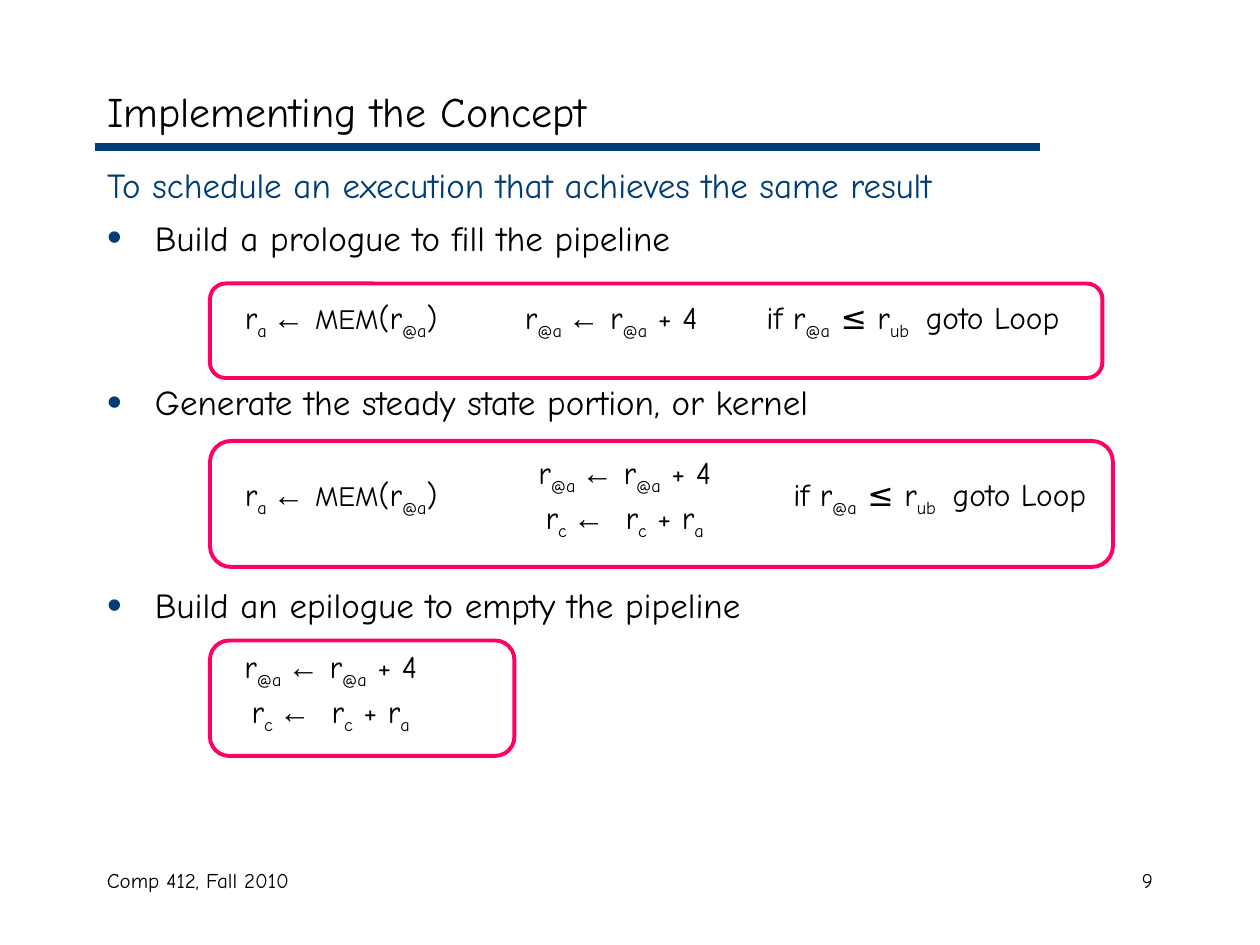
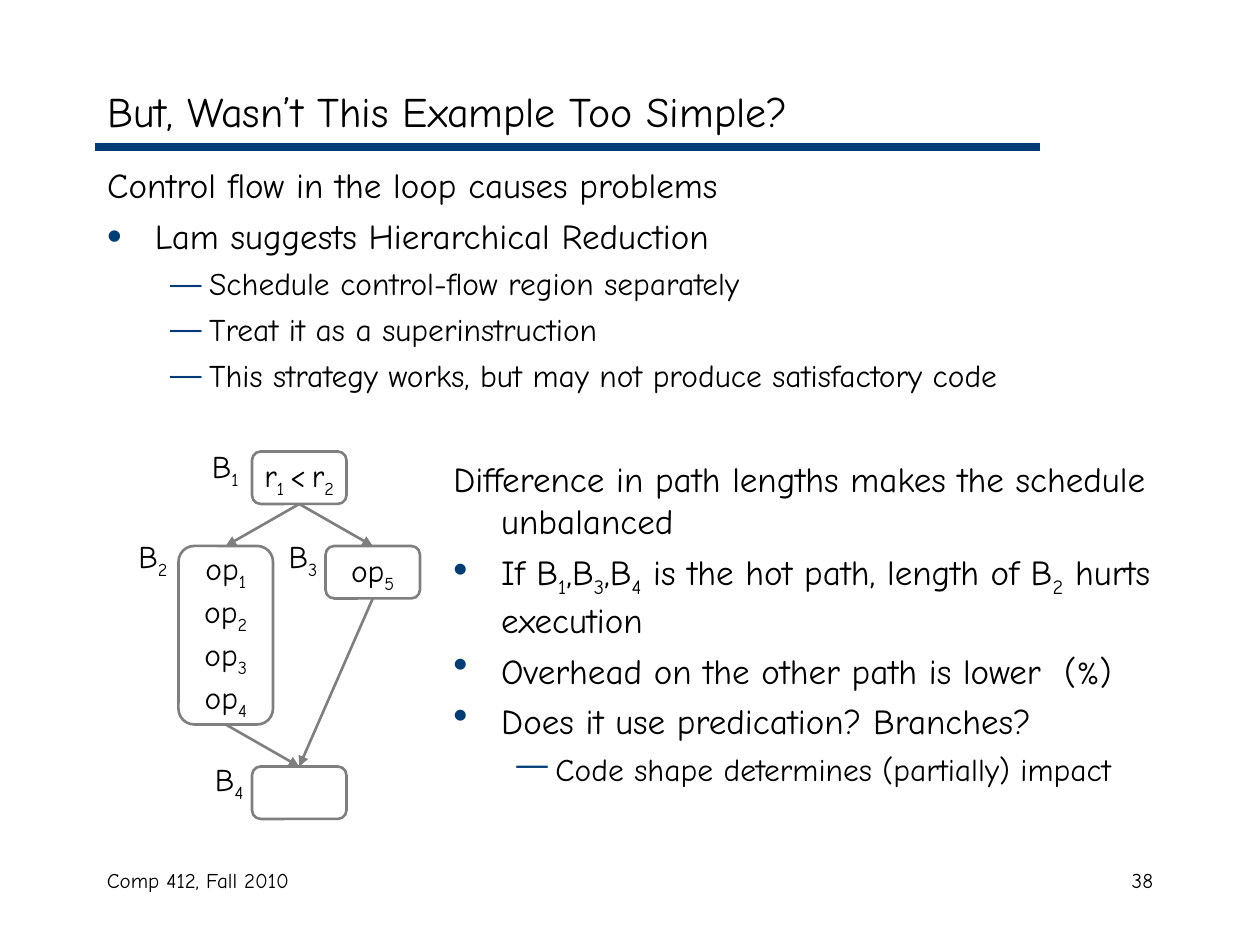
from dataclasses import dataclass
from typing import Optional, Sequence

import lxml.etree
import pptx
import pptx.dml.color
import pptx.enum.shapes
import pptx.enum.text
import pptx.oxml
import pptx.oxml.ns
import pptx.util

WIDTH, HEIGHT = pptx.util.Inches(10), pptx.util.Inches(7.5)
COLUMNS, ROWS = 120, 90
FONT = "Comic Neue"
COLOURS = {"ink": "000000", "navy": "003C75", "pink": "FF0065", "grey": "7F7F7F"}
# Font and size of the pieces written in braces
SPECIAL_RUNS = {"←": ("Arial", 18), "MEM": (FONT, 16), "%": (FONT, 18), " ": (FONT, 10)}

ALIGN = pptx.enum.text.PP_ALIGN
MIDDLE = pptx.enum.text.MSO_ANCHOR.MIDDLE
CONNECTOR = pptx.enum.shapes.MSO_CONNECTOR.STRAIGHT
ROUNDED = pptx.enum.shapes.MSO_SHAPE.ROUNDED_RECTANGLE
TOP, BOTTOM = 0, 2

LOAD = "r[a ]{←} {MEM}(r[@a])"
ADVANCE = "r[@a ]{←} r[@a] + 4"
ACCUMULATE = "r[c ]{←}  r[c] + r[a]"
BRANCH = "if r[@a] ≤ r[ub ] goto Loop"


@dataclass(frozen=True)
class Area:
    """A rectangle in grid columns and rows."""
    left: float
    top: float
    width: float
    height: float

    def emu(self) -> tuple:
        return across(self.left), down(self.top), across(self.width), down(self.height)


@dataclass(frozen=True)
class Line:
    """One paragraph: [..] marks a subscript, {..} a special run."""
    text: str
    size: float = 18
    align: ALIGN = ALIGN.LEFT
    before: float = 0
    colour: str = "ink"
    level: int = 0
    indent: Optional[tuple] = None
    bullet: str = ""
    tab: float = 0


@dataclass(frozen=True)
class Stage:
    """A pink frame around a one-row table of instructions."""
    frame: Area
    table_left: float
    table_top: float
    table_height: float
    columns: Sequence[float]
    cells: Sequence[Sequence[Line]]


@dataclass(frozen=True)
class Block:
    """A basic block of the control-flow graph with its name beside it."""
    name: str
    area: Area
    label_left: float
    label_top: float
    operations: Sequence[str] = ()


def across(columns: float) -> int:
    return round(WIDTH * columns / COLUMNS)


def down(rows: float) -> int:
    return round(HEIGHT * rows / ROWS)


def plain(text: str, before: float = 5, colour: str = "ink") -> Line:
    return Line(text, 20, before=before, colour=colour, indent=(0.38, -0.38))


def bullet(text: str, before: float = 5) -> Line:
    return Line(text, 20, before=before, indent=(0.38, -0.38), bullet="•")


def dash(text: str) -> Line:
    return Line(text, 18, before=4.5, level=1, indent=(0.81, -0.31), bullet="—")


def centred(*texts: str) -> list:
    return [Line(text, align=ALIGN.CENTER, before=2.2) for text in texts]


def rgb(name: str) -> pptx.dml.color.RGBColor:
    return pptx.dml.color.RGBColor.from_string(COLOURS[name])


def add_element(parent, tag: str, **attributes: str):
    element = lxml.etree.SubElement(parent, pptx.oxml.ns.qn(tag))
    for key, value in attributes.items():
        element.set(key, value)
    return element


def add_runs(paragraph, text: str) -> None:
    for mark in "[{":
        text = text.replace(mark, "|" + mark)
    for piece in text.replace("]", "|").replace("}", "|").split("|"):
        if not piece:
            continue
        run = paragraph.add_run()
        run.text = piece.lstrip("[{")
        if piece[0] == "[":
            run._r.get_or_add_rPr().set("baseline", "-25000")
        elif piece[0] == "{":
            font, size = SPECIAL_RUNS[run.text]
            run.font.name, run.font.size = font, pptx.util.Pt(size)


def write(frame, lines: Sequence[Line]) -> None:
    for number, line in enumerate(lines):
        paragraph = frame.add_paragraph() if number else frame.paragraphs[0]
        paragraph.level = line.level
        properties = paragraph._p.get_or_add_pPr()
        if line.indent:
            for key, inches in zip(("marL", "indent"), line.indent):
                properties.set(key, str(pptx.util.Inches(inches)))
        if line.bullet:
            add_element(add_element(properties, "a:buClr"), "a:srgbClr", val=COLOURS["navy"])
            if line.level == 0:
                add_element(properties, "a:buSzPct", val="120000")
            add_element(properties, "a:buChar", char=line.bullet)
        else:
            add_element(properties, "a:buNone")
        if line.tab:
            stops = add_element(properties, "a:tabLst")
            add_element(stops, "a:tab", pos=str(across(line.tab)), algn="l")
        paragraph.alignment = line.align
        paragraph.space_before = pptx.util.Pt(line.before if number else 0)
        paragraph.font.name = FONT
        paragraph.font.size = pptx.util.Pt(line.size)
        paragraph.font.color.rgb = rgb(line.colour)
        add_runs(paragraph, line.text)


def add_text(slide, area: Area, *lines: Line) -> None:
    frame = slide.shapes.add_textbox(*area.emu()).text_frame
    frame.word_wrap = True
    write(frame, lines)


def fill_placeholder(placeholder, area: Area, *lines: Line) -> None:
    placeholder.left, placeholder.top, placeholder.width, placeholder.height = area.emu()
    placeholder.text_frame.auto_size = pptx.enum.text.MSO_AUTO_SIZE.NONE
    write(placeholder.text_frame, lines)


def add_rounded(slide, area: Area, colour: str, weight: float):
    box = slide.shapes.add_shape(ROUNDED, *area.emu())
    box.shadow.inherit = False
    box.fill.background()
    box.line.color.rgb = rgb(colour)
    box.line.width = pptx.util.Pt(weight)
    return box


def add_line(slide, ends: Sequence[int], colour: str, weight: float):
    line = slide.shapes.add_connector(CONNECTOR, *ends)
    line.line.color.rgb = rgb(colour)
    line.line.width = pptx.util.Pt(weight)
    add_element(line._element.spPr, "a:effectLst")
    return line


def add_edge(slide, source, target) -> None:
    edge = add_line(slide, (0, 0, 0, 0), "grey", 1.5)
    edge.begin_connect(source, BOTTOM)
    edge.end_connect(target, TOP)
    add_element(edge.line._get_or_add_ln(), "a:tailEnd", type="triangle")


def add_stage(slide, stage: Stage) -> None:
    area = Area(stage.table_left, stage.table_top, sum(stage.columns), stage.table_height)
    table = slide.shapes.add_table(1, len(stage.columns), *area.emu()).table
    table.first_row = table.horz_banding = False
    for column, width, cell, lines in zip(
            table.columns, stage.columns, table.rows[0].cells, stage.cells):
        column.width = across(width)
        cell.fill.background()
        cell.vertical_anchor = MIDDLE
        if lines[0].tab:
            cell.margin_left = across(4)
        write(cell.text_frame, lines)
    add_rounded(slide, stage.frame, "pink", 2.25)


def add_block(slide, block: Block):
    box = add_rounded(slide, block.area, "grey", 1.5)
    if block.operations:
        box.text_frame.word_wrap = False
        box.text_frame.vertical_anchor = MIDDLE
        write(box.text_frame, [Line(text, align=ALIGN.CENTER) for text in block.operations])
    add_text(slide, Area(block.label_left, block.label_top, 6, 5.3), Line(block.name))
    return box


def add_page(deck, title: str, number: int, body: Sequence[Line]):
    slide = deck.slides.add_slide(deck.slide_layouts[1])
    fill_placeholder(slide.shapes.title, Area(9, 7, 102, 7), Line(title, 24))
    fill_placeholder(slide.placeholders[1], Area(9, 15, 102, 65), *body)
    add_line(slide, (across(9), down(14), across(99), down(14)), "navy", 4.5)
    add_text(slide, Area(9, 82, 38, 6), Line("Comp 412, Fall 2010", 12))
    add_text(slide, Area(86, 82, 25, 6), Line(str(number), 12, ALIGN.RIGHT))
    return slide


def add_concept_page(deck) -> None:
    slide = add_page(deck, "Implementing the Concept", 9, [
        plain("To schedule an execution that achieves the same result", colour="navy"),
        bullet("Build a prologue to fill the pipeline", 6),
        bullet("Generate the steady state portion, or kernel", 70),
        bullet("Build an epilogue to empty the pipeline", 92),
    ])
    prologue = Stage(Area(20, 27, 85, 9), 19, 26.4, 8.4, (27, 59),
                     (centred(LOAD), [Line(f"{ADVANCE}\t{BRANCH}", tab=23)]))
    kernel = Stage(Area(20, 42, 86, 12), 19, 42.25, 10.5, (27, 27, 33),
                   (centred(LOAD), centred(ADVANCE, ACCUMULATE), centred(BRANCH)))
    epilogue = Stage(Area(20, 61, 29, 11), 18, 61, 10, (27,),
                     (centred(ADVANCE, ACCUMULATE),))
    for stage in (prologue, kernel, epilogue):
        add_stage(slide, stage)


def add_control_flow_page(deck) -> None:
    slide = add_page(deck, "But, Wasn’t This Example Too Simple?", 38, [
        plain("Control flow in the loop causes problems"),
        bullet("Lam suggests Hierarchical Reduction"),
        dash("Schedule control-flow region separately"),
        dash("Treat it as a superinstruction"),
        dash("This strategy works, but may not produce satisfactory code"),
    ])
    blocks = (
        Block("B[1]", Area(24, 43, 9, 5), 19, 42, ("r[1]{ }<{ }r[2]",)),
        Block("B[2]", Area(17, 52, 9, 17), 12, 50.6, [f"op[{n}]" for n in range(1, 5)]),
        Block("B[3]", Area(31, 52, 9, 5), 26.3, 50.6, ("op[5]",)),
        Block("B[4]", Area(24, 73, 9, 5), 19.3, 71.8),
    )
    test, long_path, short_path, join = [add_block(slide, block) for block in blocks]
    for source, target in ((test, long_path), (test, short_path),
                           (short_path, join), (long_path, join)):
        add_edge(slide, source, target)
    add_text(
        slide, Area(42, 43, 71, 38),
        plain("Difference in path lengths makes the schedule unbalanced"),
        bullet("If B[1],B[3],B[4] is the hot path, length of B[2] hurts execution"),
        bullet("Overhead on the other path is lower  ({%})"),
        bullet("Does it use predication? Branches?"),
        dash("Code shape determines (partially) impact"),
    )


def main() -> None:
    deck = pptx.Presentation()
    deck.slide_width, deck.slide_height = WIDTH, HEIGHT
    add_concept_page(deck)
    add_control_flow_page(deck)
    deck.save("out.pptx")


if __name__ == "__main__":
    main()
